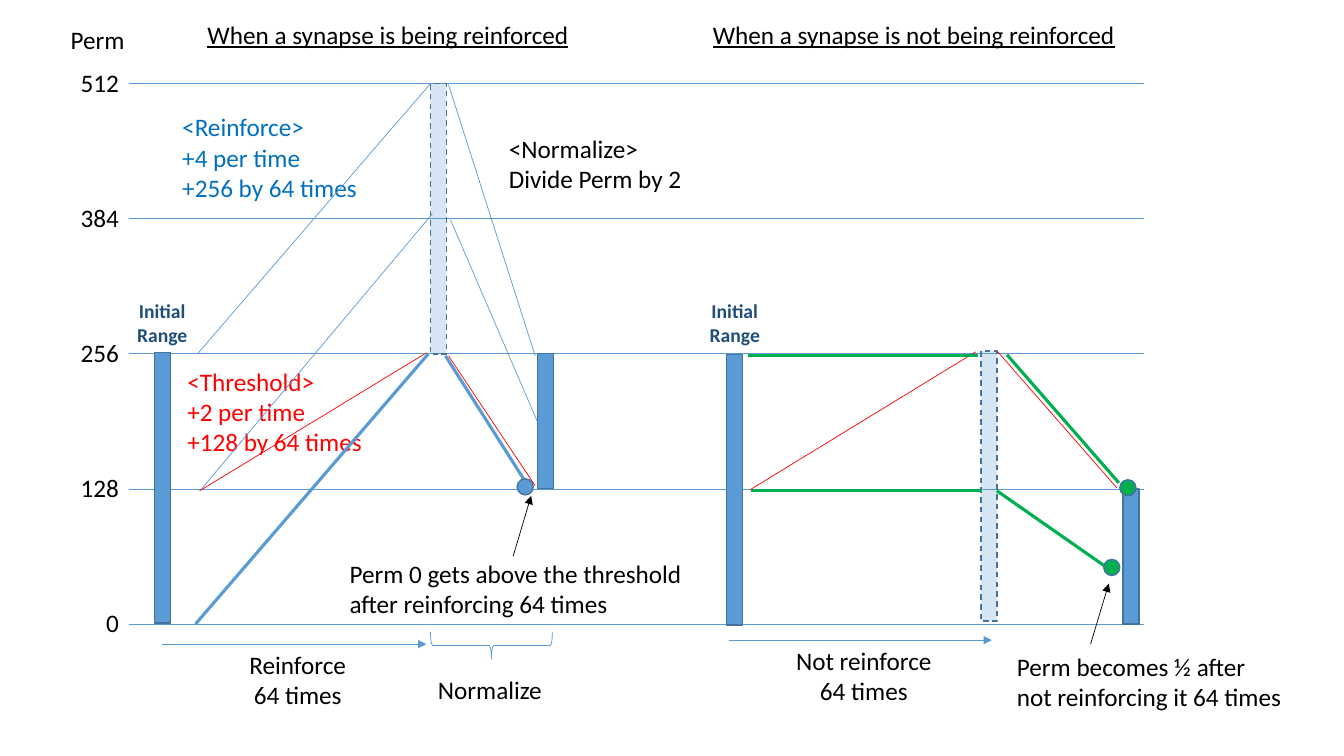
"""Build a slide that charts how synapse permanence changes with and without reinforcement."""
from pptx import Presentation
from pptx.dml.color import RGBColor
from pptx.enum.dml import MSO_LINE
from pptx.enum.shapes import MSO_CONNECTOR, MSO_SHAPE
from pptx.enum.text import MSO_ANCHOR, MSO_AUTO_SIZE, PP_ALIGN
from pptx.oxml.ns import qn
from pptx.util import Pt
from lxml import etree

BLUE = RGBColor(0x5B, 0x9B, 0xD5)
OUTLINE = RGBColor(0x43, 0x73, 0x9E)
NAVY = RGBColor(0x1F, 0x4E, 0x79)
REINFORCE_BLUE = RGBColor(0x00, 0x70, 0xC0)
RED = RGBColor(0xFF, 0x00, 0x00)
GREEN = RGBColor(0x00, 0xB0, 0x50)
BLACK = RGBColor(0x00, 0x00, 0x00)
LEFT, CENTER, RIGHT = PP_ALIGN.LEFT, PP_ALIGN.CENTER, PP_ALIGN.RIGHT
TOP, NO_FIT, FIT_SHAPE = MSO_ANCHOR.TOP, MSO_AUTO_SIZE.NONE, MSO_AUTO_SIZE.SHAPE_TO_FIT_TEXT
RECTANGLE, OVAL, BRACE = MSO_SHAPE.RECTANGLE, MSO_SHAPE.OVAL, MSO_SHAPE.RIGHT_BRACE
STRAIGHT, DASH = MSO_CONNECTOR.STRAIGHT, MSO_LINE.DASH
COMPARISON_LAYOUT = 4
THIN, THICK = 0.5, 2.25
BAR_WIDTH, DOT_SIZE = 11.5, 11.5


def level(perm):
    return 445.7 - perm * 386 / 512


class Diagram:
    font_name = "Calibri"
    font_size = 18

    def __init__(self, slide):
        self.slide = slide

    def fill_text(self, frame, text, align=LEFT, color=BLACK, size=font_size, bold=False, underline=False):
        frame.text = text
        for paragraph in frame.paragraphs:
            paragraph.alignment = align
            paragraph.space_before = Pt(0)
            font = paragraph.font
            font.name, font.size, font.bold, font.underline = self.font_name, Pt(size), bold, underline
            font.color.rgb = color

    def text(self, left, top, width, height, text, **style):
        box = self.slide.shapes.add_textbox(Pt(left), Pt(top), Pt(width), Pt(height))
        box.text_frame.word_wrap = False
        box.text_frame.auto_size = FIT_SHAPE
        self.fill_text(box.text_frame, text, **style)

    def heading(self, placeholder, left, width, text):
        placeholder.left, placeholder.top = Pt(left), Pt(10)
        placeholder.width, placeholder.height = Pt(width), Pt(29)
        frame = placeholder.text_frame
        frame.word_wrap, frame.auto_size, frame.vertical_anchor = False, NO_FIT, TOP
        self.fill_text(frame, text, underline=True)

    def shape(self, kind, left, top, width, height, fill=BLUE, line=OUTLINE, weight=1):
        shape = self.slide.shapes.add_shape(kind, Pt(left), Pt(top), Pt(width), Pt(height))
        shape.shadow.inherit = False
        if fill is None:
            shape.fill.background()
        else:
            shape.fill.solid()
            shape.fill.fore_color.rgb = fill
        shape.line.color.rgb = line
        shape.line.width = Pt(weight)
        return shape

    def bar(self, left, top, span):
        return self.shape(RECTANGLE, left, top, BAR_WIDTH, level(0) - level(span))

    def ghost_bar(self, left, top):
        bar = self.bar(left, top, 256)
        bar.line.dash_style = DASH
        color = bar._element.spPr.find(qn("a:solidFill")).find(qn("a:srgbClr"))
        etree.SubElement(color, qn("a:alpha")).set("val", "25000")

    def dot(self, left, top, fill):
        self.shape(OVAL, left, top, DOT_SIZE, DOT_SIZE, fill)

    def line(self, x1, y1, x2, y2, color=BLUE, weight=THIN, arrow=False):
        connector = self.slide.shapes.add_connector(STRAIGHT, Pt(x1), Pt(y1), Pt(x2), Pt(y2))
        connector.line.color.rgb = color
        connector.line.width = Pt(weight)
        properties = connector._element.spPr
        if arrow:
            etree.SubElement(properties.find(qn("a:ln")), qn("a:tailEnd")).set("type", "triangle")
        etree.SubElement(properties, qn("a:effectLst"))


presentation = Presentation()
presentation.slide_width, presentation.slide_height = Pt(960), Pt(540)
slide = presentation.slides.add_slide(presentation.slide_layouts[COMPARISON_LAYOUT])
diagram = Diagram(slide)

title, left_heading, left_body, right_heading, right_body = slide.placeholders
diagram.heading(left_heading, 141, 276, "When a synapse is being reinforced")
diagram.heading(right_heading, 502, 305, "When a synapse is not being reinforced")
for unused in (title, left_body, right_body):
    unused._element.getparent().remove(unused._element)

diagram.text(43, 13.7, 53.5, 29, "Perm", align=CENTER)
for perm in range(0, 513, 128):
    diagram.line(92, level(perm), 817, level(perm))
    width = 23.5 if perm == 0 else 42.5
    diagram.text(92 - width, level(perm) - 15.5, width, 29, str(perm), align=RIGHT)

for left in (90.7, 499.7):
    diagram.text(left, 210.2, 50.4, 41, "Initial\vRange", align=CENTER, color=NAVY, size=14, bold=True)

for left, top, span in ((110.2, 252, 256), (383.8, 252.7, 128), (519.1, 253.4, 256), (802.1, 349.2, 128)):
    diagram.bar(left, top, span)
for left, top in ((307.4, 59.8), (700.6, 250.6)):
    diagram.ghost_bar(left, top)

notes = (
    (123.1, 76.3, 141, 73, "<Reinforce>\n+4 per time\v+256 by 64 times", LEFT, REINFORCE_BLUE),
    (126.7, 257.8, 141, 73, "<Threshold>\n+2 per time\v+128 by 64 times", LEFT, RED),
    (356.4, 91.4, 139, 51, "<Normalize>\nDivide Perm by 2", LEFT, BLACK),
    (242.6, 395.3, 254, 51, "Perm 0 gets above the threshold\vafter reinforcing 64 times", LEFT, BLACK),
    (719.3, 461.5, 206, 51, "Perm becomes ½ after\nnot reinforcing it 64 times", LEFT, BLACK),
    (170.6, 460.1, 84.2, 51, "Reinforce\n64 times", CENTER, BLACK),
    (305.3, 478.1, 89.3, 29, "Normalize", CENTER, BLACK),
    (560.9, 457.2, 112.3, 51, "Not reinforce\n64 times", CENTER, BLACK),
)
for left, top, width, height, text, align, color in notes:
    diagram.text(left, top, width, height, text, align=align, color=color)

trajectories = (
    (BLUE, THIN, (
        (141.1, 252.7, 307.4, 59.8), (144, 349.2, 308.9, 152.6),
        (320.4, 60.5, 382.3, 254.2), (321.8, 157, 383.8, 301))),
    (BLUE, THICK, ((139.7, 445.7, 306, 252.7), (318.2, 254.2, 379.4, 350.6))),
    (RED, THIN, (
        (142.6, 350.6, 304.6, 252), (320.4, 254.2, 382.3, 347),
        (535.7, 349.9, 697, 251.3), (712.1, 250.6, 797.8, 348.5))),
    (GREEN, THICK, (
        (534.2, 254.2, 698.4, 254.2), (536.4, 350.6, 701.3, 350.6),
        (719.3, 253.4, 799.2, 344.9), (712.1, 350.6, 792.7, 406.8))),
)
for color, weight, segments in trajectories:
    for segment in segments:
        diagram.line(*segment, color=color, weight=weight)

for left, top, fill in ((369.4, 342, BLUE), (799.9, 342.7, GREEN), (788.4, 399.6, GREEN)):
    diagram.dot(left, top, fill)

for x1, y1, x2, y2, color in (
    (115.9, 460.1, 304.6, 460.1, BLUE),
    (520.6, 457.2, 708.5, 457.2, BLUE),
    (366.5, 397.4, 379.4, 354.2, BLACK),
    (779, 460.1, 792, 416.9, BLACK),
):
    diagram.line(x1, y1, x2, y2, color=color, arrow=True)

brace = diagram.shape(BRACE, 341.3, 417.6, 19.4, 87.1, fill=None, line=BLUE, weight=THIN)
brace.rotation = 90

presentation.save("out.pptx")
